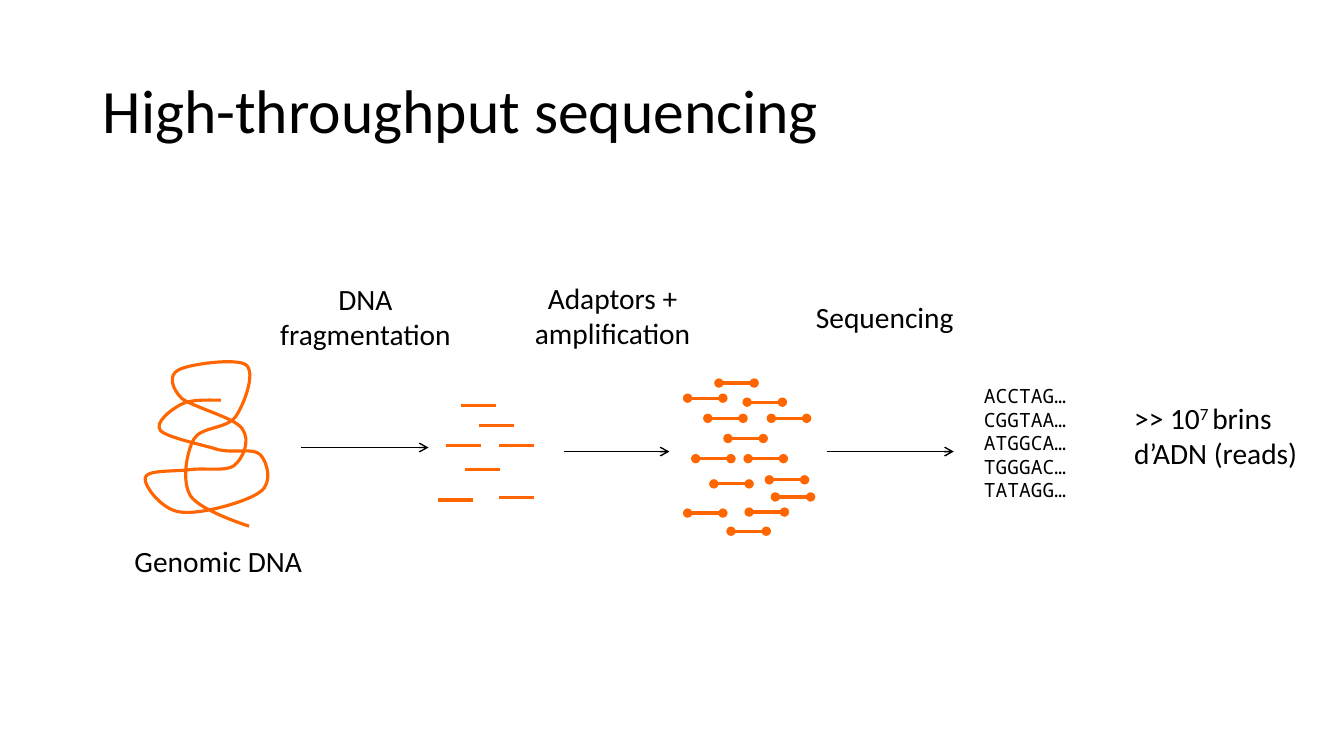
from dataclasses import dataclass

from lxml.etree import SubElement
from pptx import Presentation
from pptx.dml.color import RGBColor as RGB
from pptx.enum.shapes import MSO_CONNECTOR as Link
from pptx.enum.text import MSO_ANCHOR as Anchor, MSO_AUTO_SIZE as Auto, PP_ALIGN as Align
from pptx.oxml.ns import qn
from pptx.util import Inches, Pt


@dataclass(frozen=True)
class Theme:
    ink: RGB = RGB(0, 0, 0)
    dna: RGB = RGB(0xFF, 0x66, 0x00)
    sans: str = "Calibri"
    mono: str = "Noto Sans Mono"
    title: Pt = Pt(44)
    label: Pt = Pt(21)
    code: Pt = Pt(14)
    thin: Pt = Pt(1)
    thick: Pt = Pt(2.25)


theme = Theme()
deck = Presentation()
deck.slide_width, deck.slide_height = Inches(13.33), Inches(7.5)
slide = deck.slides.add_slide(deck.slide_layouts[6])
shapes = slide.shapes


def add_text(box, lines, align=Align.LEFT, size=theme.label, name=theme.sans):
    """Each line is a list of (text, baseline) runs."""
    frame = shapes.add_textbox(*map(Inches, box)).text_frame
    frame.word_wrap = True
    frame.auto_size = Auto.SHAPE_TO_FIT_TEXT
    for i, runs in enumerate(lines):
        para = frame.add_paragraph() if i else frame.paragraphs[0]
        para.alignment = align
        for text, base in runs:
            run = para.add_run()
            run.text = text
            for key, value in {"size": size, "name": name}.items():
                setattr(run.font, key, value)
            run.font.color.rgb = theme.ink
            if base:
                run.font._element.set("baseline", str(base))
    return frame


def add_line(x, y, size, color, width, head=None, tail=None):
    line = shapes.add_connector(Link.STRAIGHT, *map(Inches, (x, y, x + size, y)))
    line.line.color.rgb, line.line.width = color, width
    for tag, kind in (("a:headEnd", head), ("a:tailEnd", tail)):
        if kind:
            SubElement(line.line._get_or_add_ln(), qn(tag), type=kind)
    SubElement(line._element.spPr, qn("a:effectLst"))


# Title
title = add_text((0.92, 0.4, 11.5, 1.45), [[("High-throughput sequencing", 0)]], size=theme.title)
title.auto_size = Auto.NONE
title.vertical_anchor = Anchor.MIDDLE
title.paragraphs[0].line_spacing = 0.9

# Step labels
labels = [
    ("DNA fragmentation", (2.51, 2.74, 2.23, 0.81)),
    ("Adaptors + amplification", (4.95, 2.73, 2.25, 0.81)),
    ("Sequencing", (7.85, 2.92, 1.85, 0.45)),
    ("Genomic DNA", (1.18, 5.34, 1.97, 0.45)),
]
for text, box in labels:
    add_text(box, [[(text, 0)]], Align.CENTER)

# Genomic DNA strand: cubic curves as (control, control, end)
left, top, wide, high = 1.44, 3.59, 1.22, 1.63
start = (2.19, 3.97)
curves = [
    ((2.05, 3.97), (1.9, 3.96), (1.8, 4.01)),
    ((1.7, 4.06), (1.53, 4.19), (1.59, 4.27)),
    ((1.65, 4.34), (2, 4.41), (2.16, 4.46)),
    ((2.33, 4.5), (2.51, 4.44), (2.58, 4.51)),
    ((2.65, 4.58), (2.71, 4.79), (2.58, 4.88)),
    ((2.45, 4.98), (1.98, 5.11), (1.79, 5.08)),
    ((1.6, 5.06), (1.42, 4.81), (1.44, 4.74)),
    ((1.45, 4.66), (1.73, 4.68), (1.88, 4.66)),
    ((2.03, 4.64), (2.24, 4.68), (2.32, 4.62)),
    ((2.41, 4.55), (2.49, 4.37), (2.4, 4.25)),
    ((2.32, 4.14), (1.91, 4.04), (1.8, 3.95)),
    ((1.7, 3.85), (1.67, 3.72), (1.77, 3.67)),
    ((1.88, 3.61), (2.35, 3.55), (2.44, 3.62)),
    ((2.54, 3.7), (2.42, 4.01), (2.34, 4.13)),
    ((2.25, 4.26), (1.99, 4.23), (1.92, 4.36)),
    ((1.85, 4.49), (1.8, 4.78), (1.89, 4.92)),
    ((1.99, 5.07), (2.47, 5.22), (2.47, 5.22)),
]
pen = shapes.build_freeform(*map(Inches, start))
pen.add_line_segments([tuple(map(Inches, curve[-1])) for curve in curves], close=False)
strand = pen.convert_to_shape()
frame = {"left": left, "top": top, "width": wide, "height": high}
for key, value in frame.items():
    setattr(strand, key, Inches(value))

# Swap the straight steps for the curves
trail = next(strand._element.iter(qn("a:path")))
trail.set("w", str(Inches(wide)))
trail.set("h", str(Inches(high)))
for step in list(trail):
    trail.remove(step)
for tag, spots in [("a:moveTo", [start])] + [("a:cubicBezTo", curve) for curve in curves]:
    step = SubElement(trail, qn(tag))
    for x, y in spots:
        SubElement(step, qn("a:pt"), x=str(Inches(x - left)), y=str(Inches(y - top)))
strand.shadow.inherit = False
strand.fill.background()
strand.line.color.rgb, strand.line.width = theme.dna, theme.thick

# Step arrows
for x, y, size in [(2.99, 4.44, 1.26), (5.59, 4.48, 1.05), (8.2, 4.48, 1.26)]:
    add_line(x, y, size, theme.ink, theme.thin, tail="arrow")

# Fragments, bare and then with adaptors at both ends
bare = [(4.57, 4.02), (4.95, 4.42), (4.61, 4.66), (4.34, 4.96), (4.42, 4.42),
        (4.75, 4.22), (4.95, 4.94)]
capped = [(6.82, 3.95), (7.02, 4.15), (7.41, 3.99), (7.42, 4.55), (7.08, 4.8),
          (6.82, 5.09), (6.9, 4.55), (7.63, 4.76), (7.22, 4.35), (7.43, 5.08),
          (7.69, 4.93), (7.65, 4.15), (7.25, 5.27), (7.13, 3.8)]
for spots, cap in ((bare, None), (capped, "oval")):
    for x, y in spots:
        add_line(x, y, 0.35, theme.dna, theme.thick, cap, cap)

# Reads and their number
reads = ["ACCTAG…", "CGGTAA…", "ATGGCA…", "TGGGAC…", "TATAGG…"]
add_text((9.66, 3.76, 2.14, 1.28), [[(read, 0)] for read in reads],
         size=theme.code, name=theme.mono)
add_text((11.15, 3.92, 2.01, 0.81),
         [[(">> 10", 0), ("7 ", 30000), ("brins d’ADN (reads)", 0)]])

deck.save("out.pptx")
